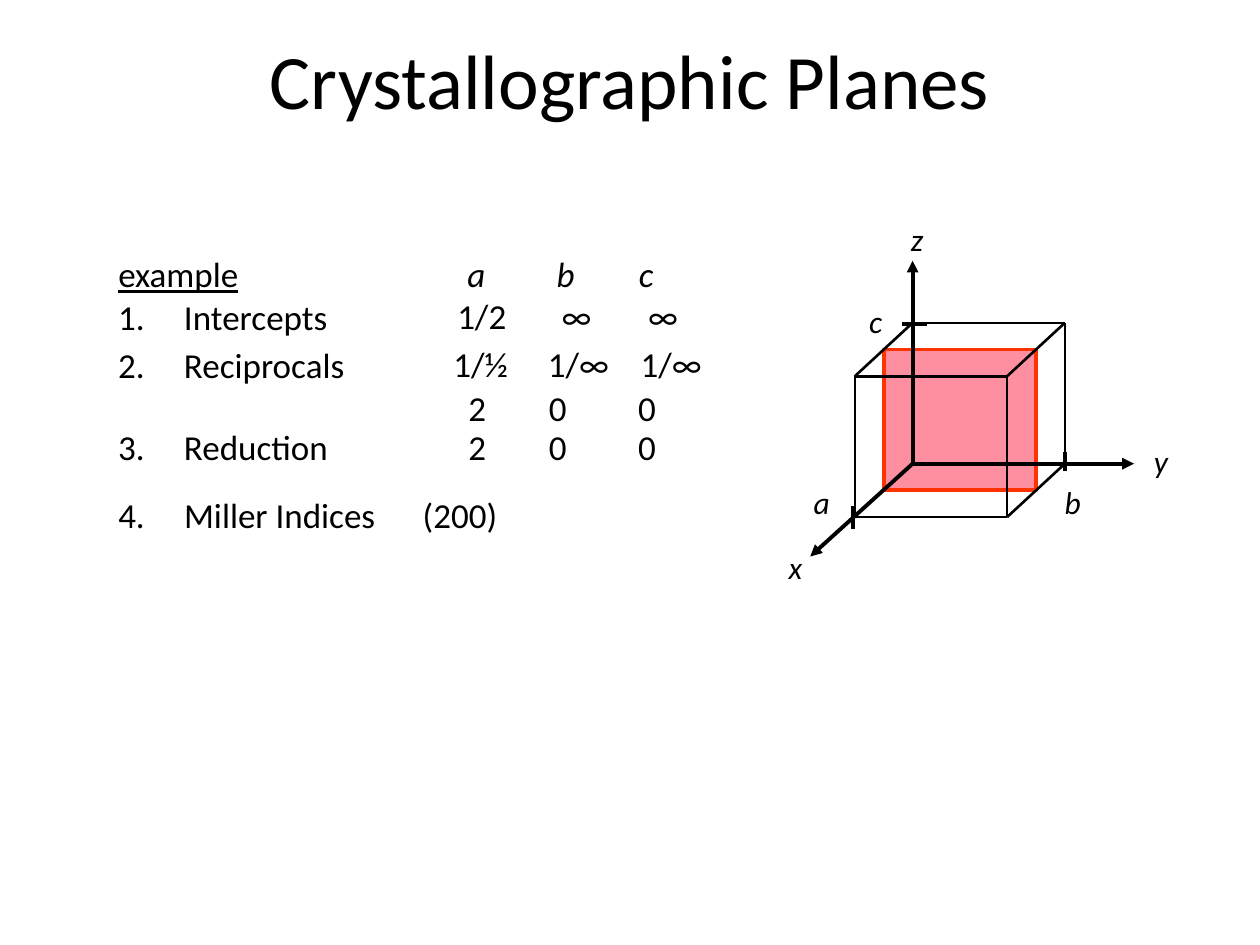
from lxml import etree
from pptx import Presentation
from pptx.dml.color import RGBColor
from pptx.enum.shapes import MSO_CONNECTOR as Connector, MSO_SHAPE as Shape
from pptx.enum.text import MSO_ANCHOR as Anchor, PP_ALIGN as Align
from pptx.oxml.ns import qn
from pptx.util import Pt

BLACK = RGBColor(0x00, 0x00, 0x00)
PINK = RGBColor(0xFD, 0x8F, 0xA1)
RED = RGBColor(0xFF, 0x33, 0x00)

ORIGIN_X, ORIGIN_Y = 521.5, 265
CUBE_WIDTH, CUBE_HEIGHT = 87, 80.5
DEPTH_X, DEPTH_Y = -33, 30.5

ROW_HEIGHT = 31
STEP_LEFT, STEP_TABS = 60.5, (37.6, 174)

STEPS = [
    (165.6, "1.\tIntercepts"),
    (193, "2.\tReciprocals"),
    (239.8, "3.\tReduction"),
    (278.6, "4.\tMiller Indices\t(200)"),
]
VALUES = [
    (254.2, 164.9, "1/2\t∞\t∞", (59.7, 109)),
    (252, 192.2, "1/½\t1/∞\t1/∞", (54, 107)),
    (260.6, 217.4, "2\t0\t0", (46, 97)),
    (260.6, 239.8, "2\t0\t0", (46, 97)),
]
AXIS_LABELS = [
    ("z", 513.4, 122.4), ("x", 443.5, 309.6), ("y", 652.3, 249.1),
    ("a", 457.9, 272.2), ("b", 601.2, 272.2), ("c", 489.6, 169.2),
]
AXIS_ENDS = [(ORIGIN_X, 149), (648, ORIGIN_Y), (463, 318)]
TICKS = [
    ((608.5, 269.3), (608.5, 258.5)),
    ((487.4, 302.4), (487.4, 289.4)),
    ((515.5, 185), (530, 185)),
]
CUBE_EDGES = [
    ((0, 1, 0), (1, 1, 0)), ((1, 0, 0), (1, 1, 0)),
    ((0, 1, 0), (0, 1, 1)), ((1, 1, 0), (1, 1, 1)), ((1, 0, 0), (1, 0, 1)),
    ((0, 0, 1), (1, 0, 1)), ((0, 1, 1), (1, 1, 1)),
    ((0, 0, 1), (0, 1, 1)), ((1, 0, 1), (1, 1, 1)),
]


def style_font(font, **values):
    """Apply font values over the common black Calibri."""
    font.color.rgb = BLACK
    for name, value in {"name": "Calibri", **values}.items():
        setattr(font, name, value)


def add_title(page, text):
    """Place and format the title placeholder."""
    title = page.shapes.title
    places = {"left": 54, "top": 0, "width": 612, "height": 90}
    for name, value in places.items():
        setattr(title, name, Pt(value))
    frame = title.text_frame
    frame.text = text
    frame.vertical_anchor = Anchor.MIDDLE
    para = frame.paragraphs[0]
    para.alignment = Align.CENTER
    style_font(para.runs[0].font, size=Pt(44))


def add_text(page, text, left, top, width, height=ROW_HEIGHT, tabs=(), size=20, **values):
    """Add one line of text with its columns set by tab stops."""
    box = page.shapes.add_textbox(Pt(left), Pt(top), Pt(width), Pt(height))
    box.text_frame.word_wrap = True
    para = box.text_frame.paragraphs[0]
    if tabs:
        stops = etree.SubElement(para._p.get_or_add_pPr(), qn("a:tabLst"))
        for position in tabs:
            etree.SubElement(stops, qn("a:tab"), pos=str(Pt(position)), algn="l")
    span = para.add_run()
    span.text = text
    style_font(span.font, size=Pt(size), **values)


def add_line(page, start, end, weight, arrow=False):
    """Draw a black straight line, with an arrowhead at its end if asked."""
    ends = [Pt(value) for value in (*start, *end)]
    line = page.shapes.add_connector(Connector.STRAIGHT, *ends)
    line.line.color.rgb = BLACK
    line.line.width = Pt(weight)
    if arrow:
        etree.SubElement(line.line._get_or_add_ln(), qn("a:tailEnd"), type="triangle")
    etree.SubElement(line._element.spPr, qn("a:effectLst"))


def cube_point(across, up, forward):
    """Project a point of the unit cube onto the page."""
    return (ORIGIN_X + across * CUBE_WIDTH + forward * DEPTH_X,
            ORIGIN_Y - up * CUBE_HEIGHT + forward * DEPTH_Y)


def add_plane(page, forward):
    """Add the shaded plane parallel to the front face."""
    left, top = cube_point(0, 1, forward)
    plane = page.shapes.add_shape(
        Shape.RECTANGLE, Pt(left), Pt(top), Pt(CUBE_WIDTH), Pt(CUBE_HEIGHT))
    plane.shadow.inherit = False
    plane.fill.solid()
    plane.fill.fore_color.rgb = PINK
    plane.line.color.rgb = RED
    plane.line.width = Pt(2.25)


def add_cell(page):
    """Draw the unit cell with its plane, axes, ticks and labels."""
    add_plane(page, 0.5)
    for end in AXIS_ENDS:
        add_line(page, (ORIGIN_X, ORIGIN_Y), end, 2.25, arrow=True)
    for start, end in TICKS:
        add_line(page, start, end, 2.25)
    for start, end in CUBE_EDGES:
        add_line(page, cube_point(*start), cube_point(*end), 1.5)
    for text, left, top in AXIS_LABELS:
        add_text(page, text, left, top, 24, 36, size=18, italic=True)


def add_example(page):
    """Write the worked example as steps and value rows."""
    add_text(page, "example", STEP_LEFT, 141, 115, underline=True)
    add_text(page, "a\tb\tc", 260, 141, 140, tabs=(51, 98), italic=True)
    for top, text in STEPS:
        width = 331 if "(" in text else 180
        add_text(page, text, STEP_LEFT, top, width, tabs=STEP_TABS)
    for left, top, text, tabs in VALUES:
        add_text(page, text, left, top, 159, tabs=tabs)


def main():
    """Build the slide and save it."""
    deck = Presentation()
    deck.slide_width, deck.slide_height = Pt(720), Pt(540)
    page = deck.slides.add_slide(deck.slide_layouts[5])
    add_title(page, "Crystallographic Planes")
    add_cell(page)
    add_example(page)
    deck.save("out.pptx")


if __name__ == "__main__":
    main()
